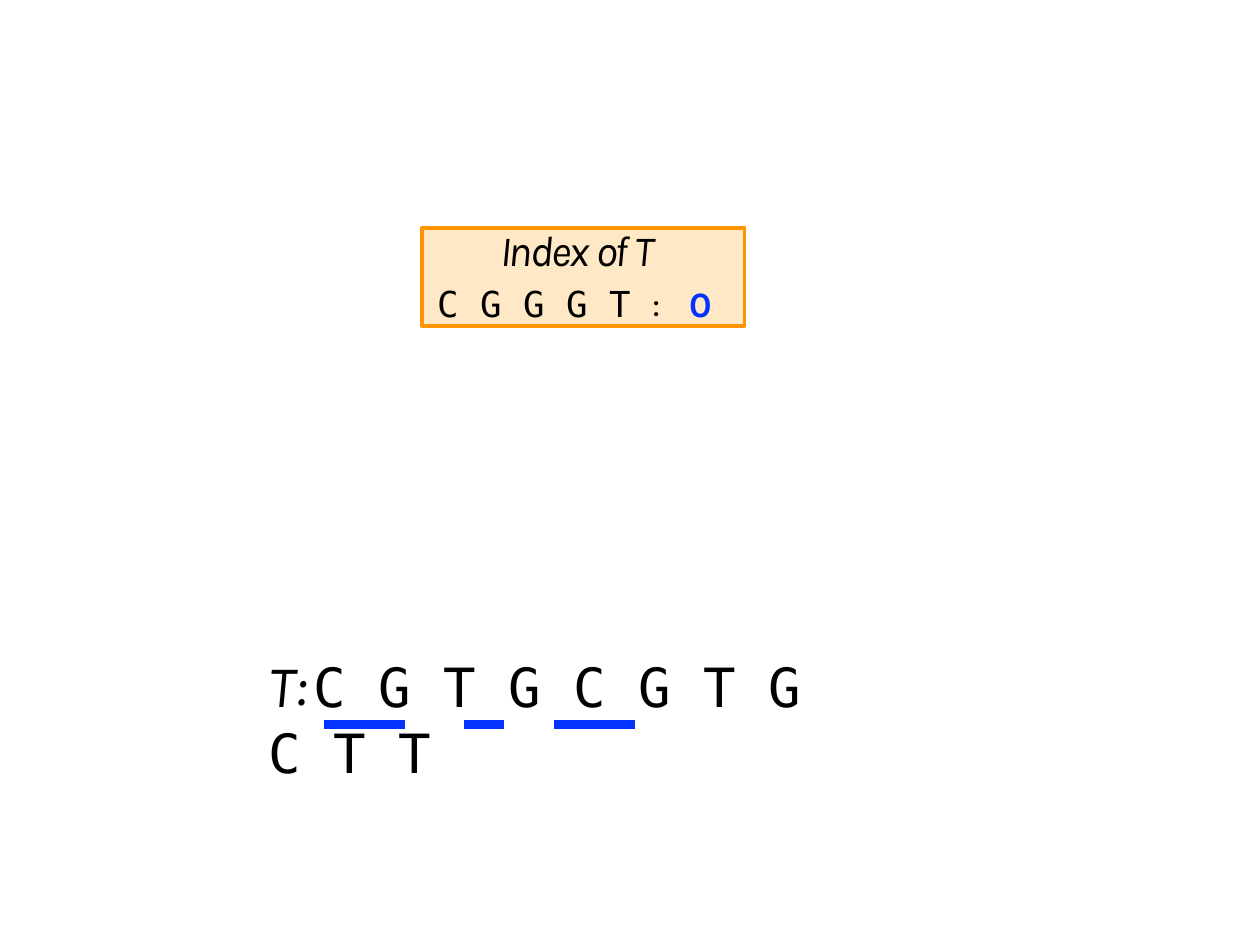
from lxml import etree
from pptx import Presentation
from pptx import util as u
from pptx.dml.color import RGBColor
from pptx.enum import shapes, text
from pptx.oxml import ns

BLACK = RGBColor(0x00, 0x00, 0x00)
BLUE = RGBColor(0x04, 0x33, 0xFF)
ORANGE = RGBColor(0xFF, 0x93, 0x00)
AMBER = RGBColor(0xFF, 0xB4, 0x3F)
SANS, MONO = "Karla", "DejaVu Sans Mono"
WIDTH, HEIGHT = u.Inches(10), u.Inches(7.5)


def place(left, top, width, height):
    return (int(WIDTH * left), int(HEIGHT * top),
            int(WIDTH * width), int(HEIGHT * height))


def prepare_frame(frame, top_inset=0):
    frame.word_wrap = True
    frame.auto_size = text.MSO_AUTO_SIZE.SHAPE_TO_FIT_TEXT
    frame.vertical_anchor = text.MSO_ANCHOR.TOP
    frame.margin_left = frame.margin_right = frame.margin_bottom = 0
    frame.margin_top = top_inset


def indent(paragraph, margin, tab=None):
    paragraph.alignment = text.PP_ALIGN.LEFT
    properties = paragraph._p.get_or_add_pPr()
    properties.set("marL", str(int(margin)))
    properties.set("indent", "0")
    if tab:
        tabs = etree.SubElement(properties, ns.qn("a:tabLst"))
        etree.SubElement(tabs, ns.qn("a:tab"), pos=str(int(tab)), algn="l")


def add_run(paragraph, wording, size, font=SANS, spacing=0, italic=False,
            bold=False, color=BLACK):
    run = paragraph.add_run()
    run.text = wording
    run.font.size = u.Pt(size)
    run.font.name = font
    run.font.italic = italic
    run.font.bold = bold
    run.font.color.rgb = color
    run._r.get_or_add_rPr().set("spc", str(round(spacing * 100)))


def add_index(slide, box):
    index = slide.shapes.add_shape(shapes.MSO_SHAPE.RECTANGLE, *box)
    index.shadow.inherit = False
    index.fill.solid()
    index.fill.fore_color.rgb = AMBER
    tint = index._element.spPr.find(ns.qn("a:solidFill"))[0]
    etree.SubElement(tint, ns.qn("a:alpha"), val="30000")
    index.line.color.rgb = ORANGE
    index.line.width = u.Pt(2)
    prepare_frame(index.text_frame)

    heading = index.text_frame.paragraphs[0]
    indent(heading, u.Inches(0.62))
    heading.line_spacing = u.Pt(27.2)
    for wording, spacing in (("Index ", -1.2), ("of ", -1.6), ("T", -2.6)):
        add_run(heading, wording, 24.6, spacing=spacing, italic=True)

    entry = index.text_frame.add_paragraph()
    indent(entry, u.Inches(0.12), tab=u.Inches(1.58))
    entry.space_before = u.Pt(3.6)
    add_run(entry, "C G G G T ", 20.4, MONO)
    add_run(entry, ":\t", 20.4, spacing=-3.3)
    add_run(entry, "0", 20.4, spacing=-2.1, bold=True, color=BLUE)


def add_sequence(slide, box):
    sequence = slide.shapes.add_textbox(*box)
    prepare_frame(sequence.text_frame, u.Inches(0.1))
    bases = sequence.text_frame.paragraphs[0]
    sequence.text_frame.margin_top = u.Inches(0.01)
    indent(bases, u.Inches(0.01))
    bases.space_before = u.Pt(0)
    add_run(bases, "T", 33.8, spacing=-6.4, italic=True)
    add_run(bases, ": ", 33.8, spacing=-3.5, italic=True)
    add_run(bases, "C G T G C G T G C T T", 30.9, MONO)


def add_underlines(slide, box, spans):
    left, top, width, height = box
    for start, end in spans:
        underline = slide.shapes.add_connector(
            shapes.MSO_CONNECTOR.STRAIGHT,
            left + int(width * start), top + height,
            left + int(width * end), top + height)
        underline.line.color.rgb = BLUE
        underline.line.width = u.Pt(5)
        etree.SubElement(underline._element.spPr, ns.qn("a:effectLst"))


def main():
    deck = Presentation()
    deck.slide_width, deck.slide_height = WIDTH, HEIGHT
    slide = deck.slides.add_slide(deck.slide_layouts[6])
    sequence_box = place(0.212, 0.685, 0.442, 0.077)
    add_sequence(slide, sequence_box)
    add_index(slide, place(0.335, 0.241, 0.256, 0.104))
    add_underlines(slide, place(0.257, 0.685, 0.247, 0.0817),
                   ((0, 0.26), (0.45, 0.58), (0.74, 1)))
    deck.save("out.pptx")


if __name__ == "__main__":
    main()
